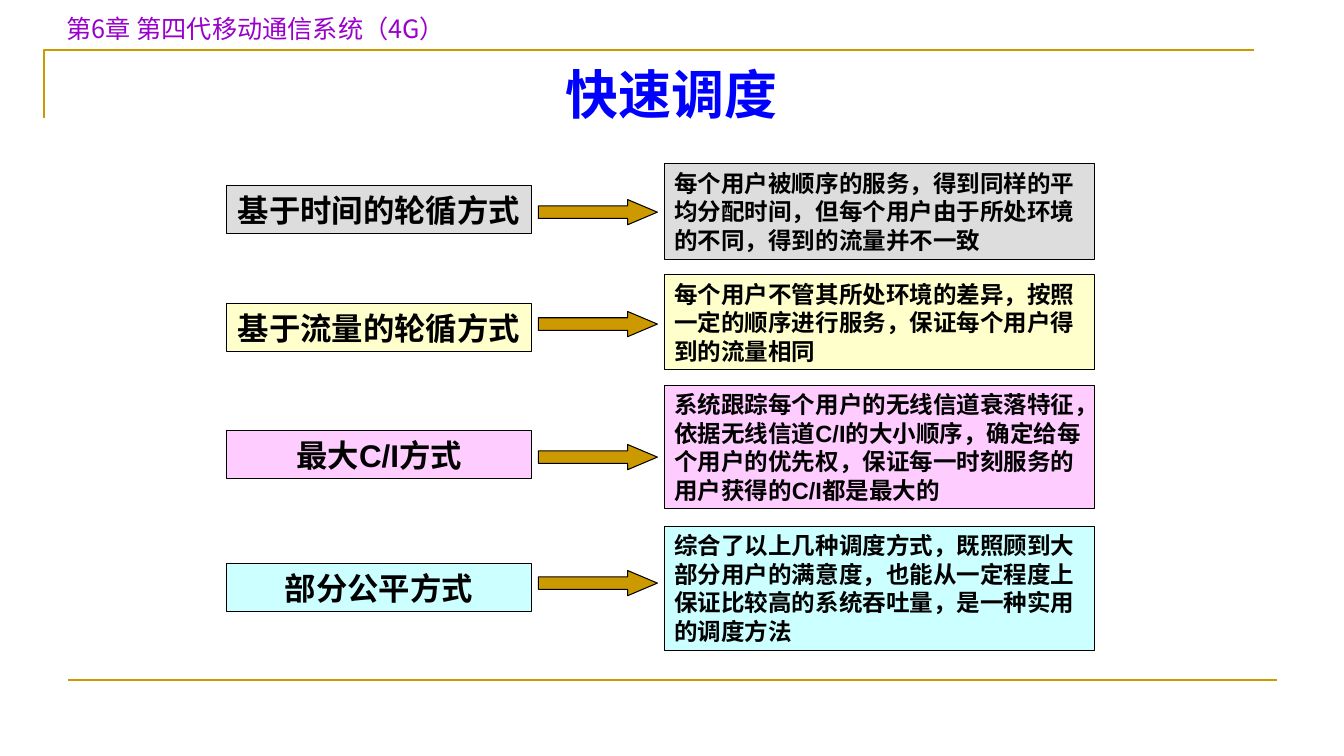
from pptx import Presentation, util as u
from pptx.dml import color
from pptx.enum import shapes, text
from lxml import etree

INK, GOLD = "000000", "CC9900"
NS = "http://schemas.openxmlformats.org/drawingml/2006/main"
ROWS = [
    (1.62, 0.95, 1.84, 1.98, "DDDDDD", "基于时间的轮循方式",
     "每个用户被顺序的服务，得到同样的平均分配时间，但每个用户由于所处环境的不同，得到的流量并不一致"),
    (2.72, 0.95, 3.01, 3.09, "FFFFCC", "基于流量的轮循方式",
     "每个用户不管其所处环境的差异，按照一定的顺序进行服务，保证每个用户得到的流量相同"),
    (3.82, 1.23, 4.27, 4.41, "FFCCFF", "最大C/I方式",
     "系统跟踪每个用户的无线信道衰落特征，依据无线信道C/I的大小顺序，确定给每个用户的优先权，"
     "保证每一时刻服务的用户获得的C/I都是最大的"),
    (5.22, 1.23, 5.59, 5.66, "CCFFFF", "部分公平方式",
     "综合了以上几种调度方式，既照顾到大部分用户的满意度，也能从一定程度上保证比较高的系统吞吐量，"
     "是一种实用的调度方法"),
]


def rgb(code):
    """Turn a hex string into a colour."""
    return color.RGBColor.from_string(code)


def place(box):
    """Turn a box in inches into lengths."""
    return [u.Inches(v) for v in box]


def style(item, **values):
    """Set attributes from format values."""
    for name, value in values.items():
        setattr(item, name, value)


def stroke(line, code, width):
    """Give a line its colour and width."""
    line.color.rgb = rgb(code)
    line.width = u.Pt(width)


def write(shape, words, face, size, code=INK, bold=True, wrap=True,
          align=text.PP_ALIGN.CENTER, space=None):
    """Put one styled paragraph in a shape."""
    frame = shape.text_frame
    style(frame, word_wrap=wrap, vertical_anchor=text.MSO_ANCHOR.MIDDLE)
    para = frame.paragraphs[0]
    style(para, alignment=align, line_spacing=space)
    run = para.add_run()
    run.text = words
    style(run.font, name=face, size=u.Pt(size), bold=bold)
    run.font.color.rgb = rgb(code)
    east = etree.SubElement(run.font._element, f"{{{NS}}}ea")
    east.set("typeface", face)


def block(slide, kind, box, fill):
    """Draw a filled shape with a thin dark outline."""
    shape = slide.shapes.add_shape(kind, *place(box))
    shape.shadow.inherit = False
    shape.fill.solid()
    shape.fill.fore_color.rgb = rgb(fill)
    stroke(shape.line, INK, 0.75)
    return shape


def border(slide, box):
    """Draw the corner rule and the bottom rule of the page."""
    left, top, width, height = box
    pen = slide.shapes.build_freeform(u.Inches(left), u.Inches(top + 0.67))
    pen.add_line_segments([(u.Inches(left), u.Inches(top)),
                           (u.Inches(left + width), u.Inches(top))], close=False)
    frame = pen.convert_to_shape()
    frame.shadow.inherit = False
    frame.fill.background()
    ends = place((left + 0.23, top + height, left + 0.23 + width, top + height))
    rule = slide.shapes.add_connector(shapes.MSO_CONNECTOR.STRAIGHT, *ends)
    etree.SubElement(rule._element.spPr, f"{{{NS}}}effectLst")
    for item in (frame, rule):
        stroke(item.line, GOLD, 1.5)


def head(slide, box):
    """Write the chapter line and the title below it."""
    left, top, width, height = box
    note = slide.shapes.add_textbox(*place((left, top, 5.78, 0.4)))
    write(note, "第6章 第四代移动通信系统（4G）", "Noto Sans CJK JP", 18, "9900CC",
          bold=False, align=text.PP_ALIGN.LEFT)
    title = slide.shapes.add_textbox(
        *place((left + 1.75, top + 0.52, width - 1.75, height - 0.52)))
    write(title, "快速调度", "Noto Sans CJK SC", 37.8, "0000FF")


def method(slide, box, label, arrow, fill, name, about):
    """Draw one scheduling method, its arrow and its account."""
    left, top, width, height = box
    kind = shapes.MSO_SHAPE
    tag = block(slide, kind.RECTANGLE, (left, label, 3.02, 0.48), fill)
    write(tag, name, "Arial", 22.4, wrap=False)
    card = block(slide, kind.RECTANGLE,
                 (left + 4.34, top, width - 4.34, height), fill)
    write(card, about, "Arial", 16.8, align=text.PP_ALIGN.LEFT, space=u.Pt(20.4))
    sign = block(slide, kind.RIGHT_ARROW, (left + 3.09, arrow, 1.18, 0.25), GOLD)
    sign.adjustments[1] = 1.18


def main():
    """Build the slide and save it."""
    deck = Presentation()
    style(deck, slide_width=u.Inches(13.33), slide_height=u.Inches(7.5))
    slide = deck.slides.add_slide(deck.slide_layouts[6])
    border(slide, (0.44, 0.5, 12, 6.25))
    head(slide, (0.56, 0.08, 10.44, 1.18))
    for top, height, *rest in ROWS:
        method(slide, (2.25, top, 8.61, height), *rest)
    deck.save("out.pptx")


if __name__ == "__main__":
    main()
